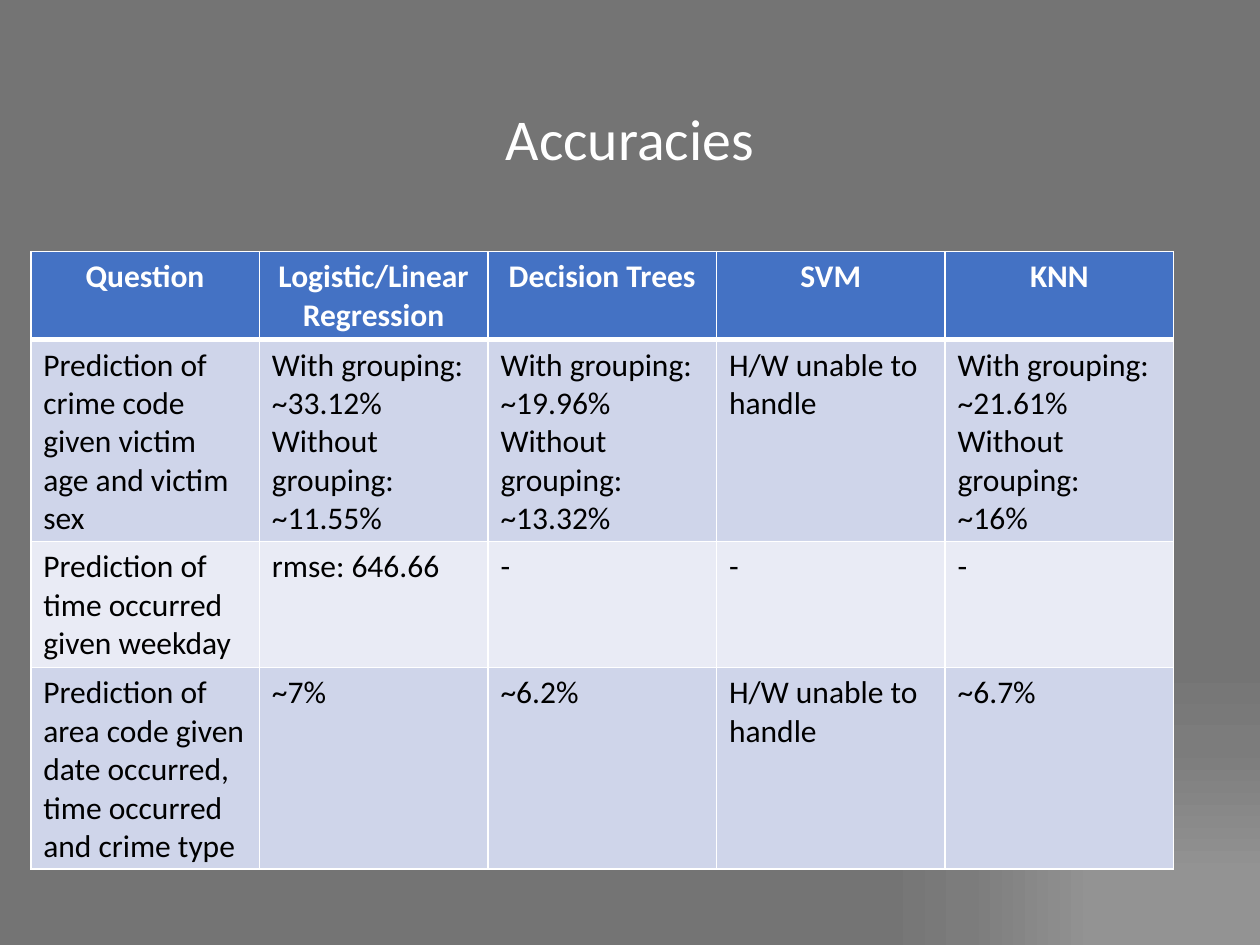
"""Build the slide that compares model accuracies in a table."""
import pptx
import pptx.dml.color
import pptx.enum.text
import pptx.oxml
import pptx.oxml.ns
import pptx.util
from pptx.util import Cm

RGBColor = pptx.dml.color.RGBColor
Align = pptx.enum.text.PP_ALIGN
WHITE = RGBColor(0xFF, 0xFF, 0xFF)
BLACK = RGBColor(0, 0, 0)
HEADER_BLUE = RGBColor(0x44, 0x72, 0xC4)
BAND_DARK = RGBColor(0xCF, 0xD5, 0xEA)
BAND_LIGHT = RGBColor(0xE9, 0xEB, 0xF5)
BACKGROUND_STOPS = [
    (0, RGBColor(0x93, 0x93, 0x93)),
    (15, RGBColor(0x93, 0x93, 0x93)),
    (42, RGBColor(0x7C, 0x7C, 0x7C)),
    (60, RGBColor(0x74, 0x74, 0x74)),
]
ROW_HEIGHTS = [1.4, 2.54, 1.96, 3.1]
ACCURACIES = [
    ["Question", "Logistic/Linear Regression", "Decision Trees", "SVM", "KNN"],
    ["Prediction of crime code given victim age and victim sex",
     "With grouping: ~33.12%\nWithout grouping:\n~11.55%",
     "With grouping:\n~19.96%\nWithout grouping:\n~13.32%",
     "H/W unable to handle",
     "With grouping:\n~21.61%\nWithout grouping:\n~16%"],
    ["Prediction of time occurred given weekday", "rmse: 646.66", "-", "-", "-"],
    ["Prediction of area code given date occurred, time occurred and crime type",
     "~7%", "~6.2%", "H/W unable to handle", "~6.7%"],
]


class SlideBuilder:
    """Hold the text style and the current slide."""

    def __init__(self, page, font="Calibri"):
        self.page = page
        self.font = font

    def background(self, stops):
        """Fill the page with a gradient spreading from the lower right corner."""
        self.page.background.fill.gradient()
        gradient = self.page.element.find(".//" + pptx.oxml.ns.qn("a:gradFill"))
        marks = "".join(
            f'<a:gs pos="{percent * 1000}"><a:srgbClr val="{color}"/></a:gs>'
            for percent, color in stops)
        gradient.getparent().replace(gradient, pptx.oxml.parse_xml(
            f'<a:gradFill {pptx.oxml.ns.nsdecls("a")} rotWithShape="1">'
            f'<a:gsLst>{marks}</a:gsLst><a:path path="rect">'
            '<a:fillToRect l="100000" t="100000"/></a:path></a:gradFill>'))

    def format_text(self, frame, size, color, align, bold=False):
        """Apply one style to all the text of a frame."""
        for para in frame.paragraphs:
            para.alignment = align
            for span in para.runs:
                span.font.name = self.font
                span.font.size = pptx.util.Pt(size)
                span.font.color.rgb = color
                span.font.bold = bold

    def title(self, text, left, top, width, height):
        """Add a centred title."""
        box = self.page.shapes.add_textbox(left, top, width, height)
        frame = box.text_frame
        frame.word_wrap = True
        frame.vertical_anchor = pptx.enum.text.MSO_ANCHOR.MIDDLE
        frame.text = text
        frame.paragraphs[0].line_spacing = 0.9
        self.format_text(frame, 33, WHITE, Align.CENTER)

    def borders(self, cell, **widths):
        """Draw white cell borders with widths in points."""
        properties = cell._tc.get_or_add_tcPr()
        for side, width in widths.items():
            properties.append(pptx.oxml.parse_xml(
                f'<a:ln{side} {pptx.oxml.ns.nsdecls("a")} w="{pptx.util.Pt(width)}">'
                f'<a:solidFill><a:srgbClr val="{WHITE}"/></a:solidFill></a:ln{side}>'))

    def table(self, rows, heights, left, top, width):
        """Add a table with equal columns, a header and banded rows."""
        grid = self.page.shapes.add_table(
            len(rows), len(rows[0]), left, top, width, Cm(sum(heights))).table
        for index, (texts, height) in enumerate(zip(rows, heights)):
            grid.rows[index].height = Cm(height)
            header = index == 0
            band = BAND_DARK if index % 2 else BAND_LIGHT
            for column, text in enumerate(texts):
                cell = grid.cell(index, column)
                cell.text_frame.text = text
                self.format_text(
                    cell.text_frame, 18, WHITE if header else BLACK,
                    Align.CENTER if header else Align.LEFT, header)
                self.borders(cell, L=1, R=1, T=3 if index == 1 else 1,
                             B=3 if header else 1)
                cell.fill.solid()
                cell.fill.fore_color.rgb = HEADER_BLUE if header else band


def main():
    """Build and save the deck."""
    deck = pptx.Presentation()
    deck.slide_width, deck.slide_height = Cm(25.4), Cm(19.05)
    builder = SlideBuilder(deck.slides.add_slide(deck.slide_layouts[6]))
    builder.background(BACKGROUND_STOPS)
    builder.title("Accuracies", Cm(1.75), Cm(1.02), Cm(21.9), Cm(3.68))
    builder.table(ACCURACIES, ROW_HEIGHTS, Cm(0.62), Cm(5.07), Cm(23.04))
    deck.save("out.pptx")


if __name__ == "__main__":
    main()
